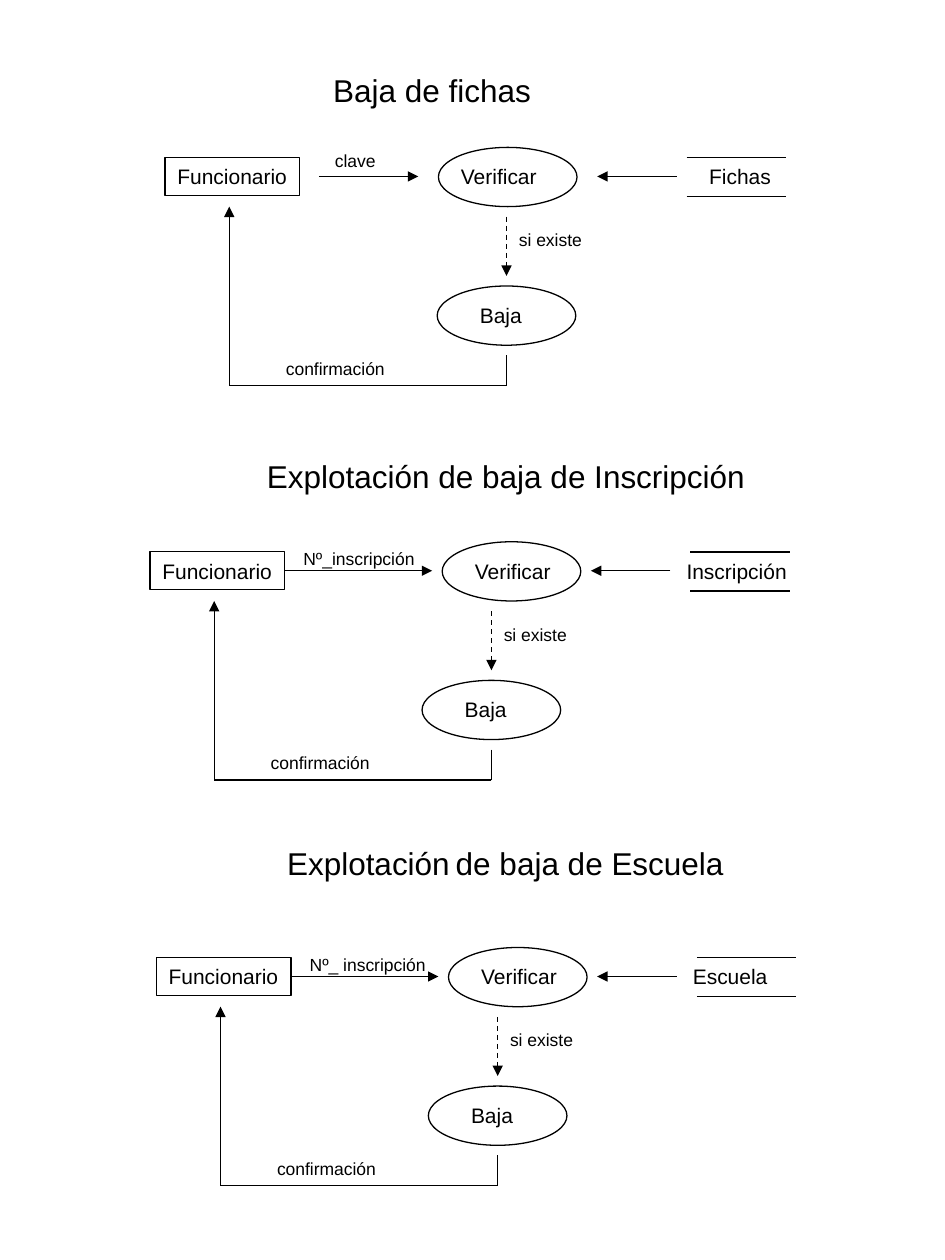
"""Build a slide with three data-flow diagrams for record deletion."""
from dataclasses import dataclass

from lxml import etree
from pptx import Presentation
from pptx import util as u
from pptx.dml.color import RGBColor
from pptx.enum import dml, shapes, text
from pptx.oxml import ns


@dataclass(frozen=True)
class Theme:
    """Colours, font and type sizes."""
    ink: RGBColor = RGBColor(0, 0, 0)
    font: str = "Arial"
    title: float = 18
    node: float = 12
    label: float = 10
    stroke: float = 0.75


@dataclass(frozen=True)
class Box:
    """A frame in inches."""
    left: float
    top: float
    width: float
    height: float

    def lengths(self) -> list:
        return [u.Inches(v) for v in (self.left, self.top, self.width, self.height)]


@dataclass(frozen=True)
class Heading:
    """A diagram title made of sized runs."""
    box: Box
    runs: tuple


@dataclass(frozen=True)
class Diagram:
    """One flow; positions across are offsets from its left edge."""
    left: float
    top: float
    request: str
    request_at: tuple
    request_line: tuple
    joined: bool
    verify: float
    verify_text: float
    store: str
    store_text: float
    store_text_width: float
    store_line: float
    store_arrow: tuple


THEME = Theme()
ROW = 0.3
LABEL_ROW = 0.27
MIDDLE = 0.23
FLOW_X = 2.71
RETURN_X = 0.51
RETURN_Y = 1.89

HEADINGS = (
    Heading(Box(2.33, 0.51, 2.2, 0.4), (("Baja de fichas", THEME.title),)),
    Heading(Box(2.02, 3.58, 3.99, 0.4),
            (("Explotación de baja de Inscripción", THEME.title),)),
    Heading(Box(2.18, 6.65, 3.66, 0.4),
            (("Explotación", THEME.title), (" ", THEME.node),
             ("de baja de Escuela", THEME.title))),
)

DIAGRAMS = (
    Diagram(1.31, 1.17, "clave", (1.25, -0.03, 0.52), (1.22, 2.01), False,
            2.17, 2.25, "Fichas", 4.22, 0.69, 4.14, (4.06, 3.43)),
    Diagram(1.19, 4.3, "Nº_inscripción", (1.12, 0, 1.08), (1.07, 2.24), True,
            2.32, 2.48, "Inscripción", 4.16, 0.99, 4.29, (4.13, 3.5)),
    Diagram(1.24, 7.52, "Nº_ inscripción", (1.12, 0, 1.12), (1.07, 2.24), True,
            2.32, 2.48, "Escuela", 4.16, 0.79, 4.29, (4.13, 3.5)),
)


def apply(target, values: dict) -> None:
    """Set each named attribute on the target."""
    for name, value in values.items():
        setattr(target, name, value)


def write(shape, runs: tuple, align=text.PP_ALIGN.LEFT, right_margin: float = 0) -> None:
    """Write one paragraph of sized runs into a shape."""
    apply(shape.text_frame, {
        "word_wrap": True, "auto_size": text.MSO_AUTO_SIZE.NONE,
        "vertical_anchor": text.MSO_ANCHOR.TOP,
        "margin_left": u.Inches(0.1), "margin_right": u.Inches(right_margin),
        "margin_top": u.Inches(0.05), "margin_bottom": u.Inches(0.05)})
    paragraph = shape.text_frame.paragraphs[0]
    paragraph.alignment = align
    for words, size in runs:
        run = paragraph.add_run()
        run.text = words
        apply(run.font, {"name": THEME.font, "size": u.Pt(size)})
        run.font.color.rgb = THEME.ink


def add_text(parent, box: Box, runs: tuple) -> None:
    """Add a text box."""
    write(parent.add_textbox(*box.lengths()), runs)


def add_outline(parent, kind, box: Box):
    """Add an unfilled outlined shape."""
    shape = parent.add_shape(kind, *box.lengths())
    shape.shadow.inherit = False
    shape.fill.background()
    shape.line.color.rgb = THEME.ink
    shape.line.width = u.Pt(THEME.stroke)
    return shape


def add_line(parent, start: tuple, end: tuple, arrow: bool = False, dashed: bool = False):
    """Add a straight line, with an arrowhead at its end if asked."""
    points = [u.Inches(value) for value in (*start, *end)]
    line = parent.add_connector(shapes.MSO_CONNECTOR.STRAIGHT, *points)
    line.line.color.rgb = THEME.ink
    line.line.width = u.Pt(THEME.stroke)
    if dashed:
        line.line.dash_style = dml.MSO_LINE.DASH
    properties = line._element.spPr
    if arrow:
        outline = properties.find(ns.qn("a:ln"))
        etree.SubElement(outline, ns.qn("a:tailEnd"), type="triangle")
    etree.SubElement(properties, ns.qn("a:effectLst"))
    return line


def draw_diagram(slide, diagram: Diagram) -> None:
    """Draw one diagram as a group."""
    parent = slide.shapes.add_group_shape().shapes

    def at(x: float, y: float) -> tuple:
        return diagram.left + x, diagram.top + y

    for x, y, text_x, width, name in (
            (diagram.verify, 0, diagram.verify_text, 0.87, "Verificar"),
            (2.16, 1.1, 2.4, 0.63, "Baja")):
        add_outline(parent, shapes.MSO_SHAPE.OVAL, Box(*at(x, y), 1.1, 0.47))
        add_text(parent, Box(*at(text_x, y + 0.08), width, ROW), ((name, THEME.node),))

    for y in (0.08, 0.39):
        add_line(parent, at(diagram.store_line, y), at(diagram.store_line + 0.79, y))
    add_text(parent, Box(*at(diagram.store_text, 0.08), diagram.store_text_width, ROW),
             ((diagram.store, THEME.node),))

    actor = add_outline(parent, shapes.MSO_SHAPE.RECTANGLE, Box(*at(0, 0.08), 1.07, ROW))
    write(actor, (("Funcionario", THEME.node),))

    request_x, request_y, request_width = diagram.request_at
    for x, y, width, words in (
            (request_x, request_y, request_width, diagram.request),
            (FLOW_X, 0.6, 0.7, "si existe"),
            (0.86, 1.62, 0.98, "confirmación")):
        add_text(parent, Box(*at(x, y), width, LABEL_ROW), ((words, THEME.label),))

    start, end = (at(x, MIDDLE) for x in diagram.request_line)
    request = add_line(parent, start, end, arrow=True)
    if diagram.joined:
        request.begin_connect(actor, 3)
    start, end = (at(x, MIDDLE) for x in diagram.store_arrow)
    add_line(parent, start, end, arrow=True)
    add_line(parent, at(FLOW_X, 0.55), at(FLOW_X, 1.02), arrow=True, dashed=True)
    add_line(parent, at(FLOW_X, 1.65), at(FLOW_X, RETURN_Y))
    add_line(parent, at(FLOW_X, RETURN_Y), at(RETURN_X, RETURN_Y))
    add_line(parent, at(RETURN_X, RETURN_Y), at(RETURN_X, 0.47), arrow=True)


def main() -> None:
    """Build and save the presentation."""
    presentation = Presentation()
    apply(presentation, {"slide_width": u.Inches(7.5), "slide_height": u.Inches(10)})
    slide = presentation.slides.add_slide(presentation.slide_layouts[5])
    first, *others = HEADINGS
    title = slide.shapes.title
    apply(title, dict(zip(("left", "top", "width", "height"), first.box.lengths())))
    write(title, first.runs, align=text.PP_ALIGN.CENTER, right_margin=0.1)
    for heading in others:
        add_text(slide.shapes, heading.box, heading.runs)
    for diagram in DIAGRAMS:
        draw_diagram(slide, diagram)
    presentation.save("out.pptx")


if __name__ == "__main__":
    main()
